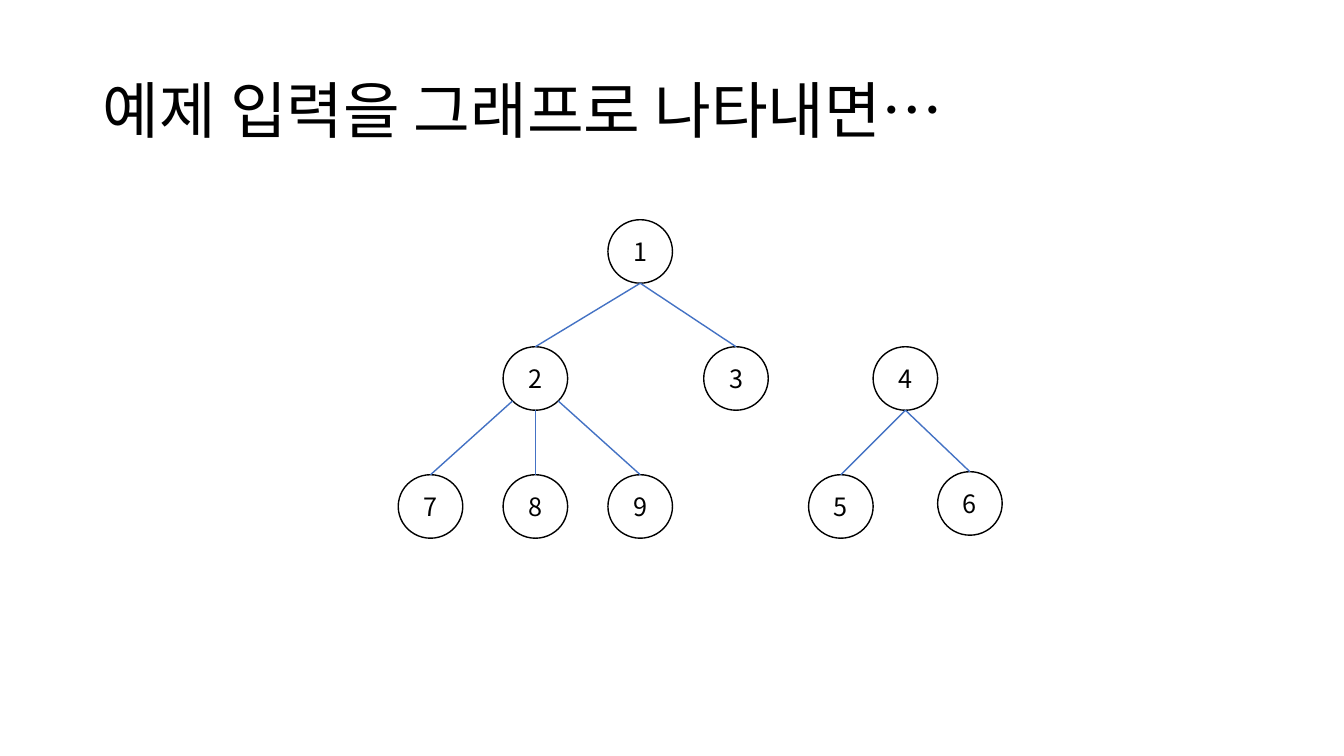
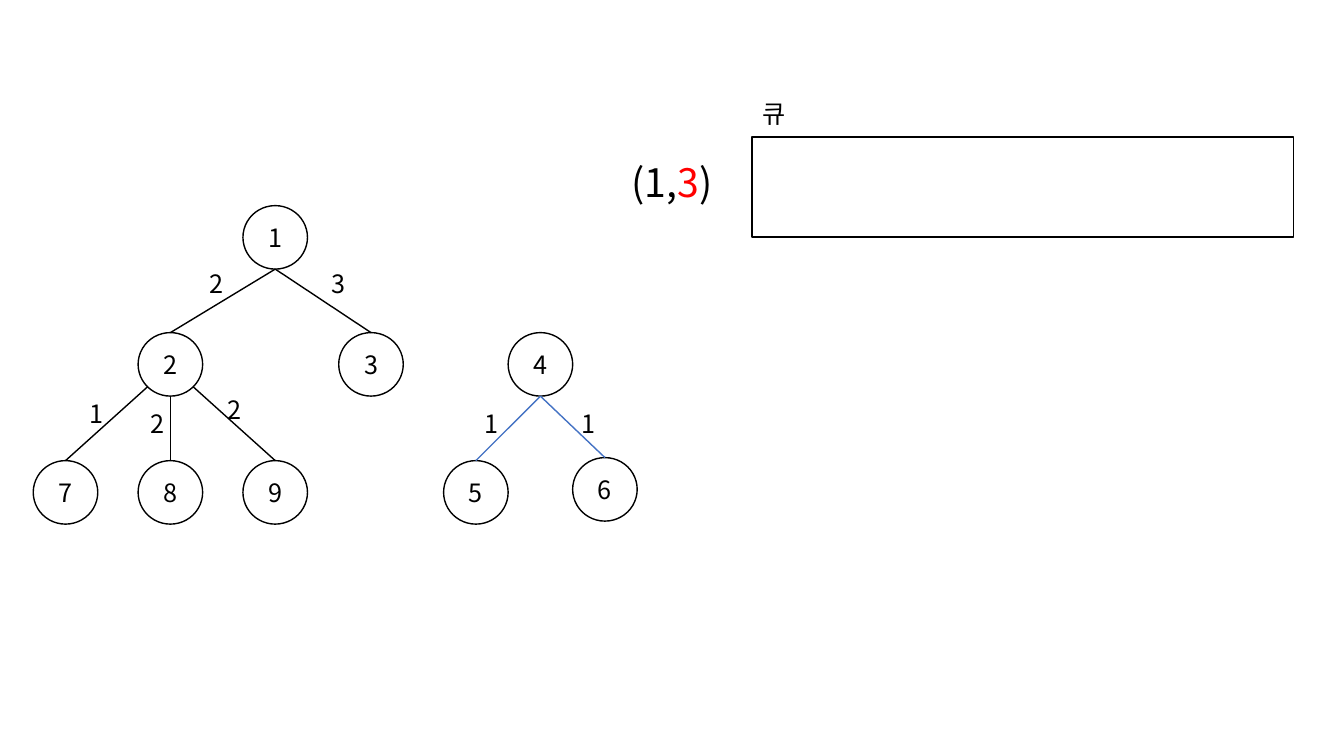
from dataclasses import dataclass
from math import cos, radians, sin

from lxml.etree import SubElement
from pptx import Presentation
from pptx.dml.color import RGBColor
from pptx.enum.shapes import MSO_CONNECTOR, MSO_SHAPE
from pptx.enum.text import MSO_ANCHOR, MSO_AUTO_SIZE, PP_ALIGN
from pptx.oxml.ns import qn
from pptx.shapes.autoshape import Shape
from pptx.slide import Slide
from pptx.text.text import TextFrame
from pptx.util import Inches, Pt

FONT = "Noto Sans CJK KR"
BLACK, WHITE, BLUE, RED = "000000", "FFFFFF", "4472C4", "FF0000"
NODE_WIDTH, NODE_HEIGHT = 0.64, 0.63
COLUMN, MIDDLE_ROW, BOTTOM_ROW = 1.04, 1.26, 2.53
BOTTOM, BOTTOM_LEFT, BOTTOM_RIGHT = 90, 135, 45


@dataclass(frozen=True)
class Node:
    name: str
    left: float
    top: float


@dataclass(frozen=True)
class Edge:
    parent: str
    child: str
    angle: int = BOTTOM


@dataclass(frozen=True)
class Label:
    text: str
    left: float
    top: float


NODES = [
    Node("1", 2 * COLUMN, 0),
    Node("2", COLUMN, MIDDLE_ROW),
    Node("3", 3.03, MIDDLE_ROW),
    Node("4", 4.71, MIDDLE_ROW),
    Node("5", 4.07, BOTTOM_ROW),
    Node("6", 5.35, 2.5),
    Node("7", 0, BOTTOM_ROW),
    Node("8", COLUMN, BOTTOM_ROW),
    Node("9", 2 * COLUMN, BOTTOM_ROW),
]
LARGE_TREE = [
    Edge("1", "2"),
    Edge("1", "3"),
    Edge("2", "7", BOTTOM_LEFT),
    Edge("2", "8"),
    Edge("2", "9", BOTTOM_RIGHT),
]
SMALL_TREE = [Edge("4", "5"), Edge("4", "6")]
WEIGHTS = [
    Label("2", 1.98, 2.61),
    Label("3", 3.19, 2.61),
    Label("1", 0.79, 3.9),
    Label("2", 1.39, 4),
    Label("2", 2.16, 3.86),
    Label("1", 4.71, 4),
    Label("1", 5.67, 4),
]


def color(value: str) -> RGBColor:
    return RGBColor.from_string(value)


def write(
    frame: TextFrame,
    *parts: tuple[str, str],
    size: float = 18,
    align: PP_ALIGN = PP_ALIGN.LEFT,
    anchor: MSO_ANCHOR = MSO_ANCHOR.TOP,
    line_spacing: float = 1.0,
) -> None:
    frame.word_wrap = True
    frame.auto_size = MSO_AUTO_SIZE.NONE
    frame.vertical_anchor = anchor
    paragraph = frame.paragraphs[0]
    paragraph.alignment = align
    paragraph.line_spacing = line_spacing
    for text, text_color in parts:
        run = paragraph.add_run()
        run.text = text
        run.font.name = FONT
        run.font.size = Pt(size)
        run.font.color.rgb = color(text_color)
        SubElement(run.font._element, qn("a:ea")).set("typeface", FONT)


def add_outlined(
    slide: Slide, kind: MSO_SHAPE, left: float, top: float, width: float, height: float
) -> Shape:
    shape = slide.shapes.add_shape(
        kind, Inches(left), Inches(top), Inches(width), Inches(height)
    )
    shape.shadow.inherit = False
    shape.fill.solid()
    shape.fill.fore_color.rgb = color(WHITE)
    shape.line.color.rgb = color(BLACK)
    shape.line.width = Pt(1)
    return shape


def add_text(
    slide: Slide, left: float, top: float, width: float, height: float
) -> TextFrame:
    return slide.shapes.add_textbox(
        Inches(left), Inches(top), Inches(width), Inches(height)
    ).text_frame


def add_nodes(slide: Slide, left: float, top: float) -> None:
    for node in NODES:
        circle = add_outlined(
            slide, MSO_SHAPE.OVAL, left + node.left, top + node.top,
            NODE_WIDTH, NODE_HEIGHT,
        )
        write(
            circle.text_frame, (node.name, BLACK),
            align=PP_ALIGN.CENTER, anchor=MSO_ANCHOR.MIDDLE,
        )


def add_edges(
    slide: Slide, edges: list[Edge], left: float, top: float, line_color: str
) -> None:
    nodes = {node.name: node for node in NODES}
    for edge in edges:
        parent, child = nodes[edge.parent], nodes[edge.child]
        angle = radians(edge.angle)
        connector = slide.shapes.add_connector(
            MSO_CONNECTOR.STRAIGHT,
            Inches(left + parent.left + NODE_WIDTH / 2 * (1 + cos(angle))),
            Inches(top + parent.top + NODE_HEIGHT / 2 * (1 + sin(angle))),
            Inches(left + child.left + NODE_WIDTH / 2),
            Inches(top + child.top),
        )
        connector.line.color.rgb = color(line_color)
        connector.line.width = Pt(1)
        SubElement(connector._element.spPr, qn("a:effectLst"))


def add_graph(slide: Slide, left: float, top: float, large_tree_color: str) -> None:
    add_nodes(slide, left, top)
    add_edges(slide, LARGE_TREE, left, top, large_tree_color)
    add_edges(slide, SMALL_TREE, left, top, BLUE)


def add_title(slide: Slide, text: str) -> None:
    title = slide.shapes.title
    title.left, title.top = Inches(0.92), Inches(0.4)
    title.width, title.height = Inches(11.5), Inches(1.45)
    write(
        title.text_frame, (text, BLACK),
        size=44, anchor=MSO_ANCHOR.MIDDLE, line_spacing=0.9,
    )


def build_example_slide(presentation: Presentation) -> None:
    slide = presentation.slides.add_slide(
        presentation.slide_layouts.get_by_name("Title Only")
    )
    add_title(slide, "예제 입력을 그래프로 나타내면…")
    add_graph(slide, 3.95, 2.18, BLUE)


def build_queue_slide(presentation: Presentation) -> None:
    slide = presentation.slides.add_slide(
        presentation.slide_layouts.get_by_name("Blank")
    )
    add_graph(slide, 0.33, 2.04, BLACK)
    add_outlined(slide, MSO_SHAPE.RECTANGLE, 7.46, 1.36, 5.37, 0.99)
    write(add_text(slide, 7.46, 0.93, 1.29, 0.4), ("큐", BLACK))
    write(
        add_text(slide, 5.9, 1.52, 1.53, 1.04),
        ("(1,", BLACK), ("3", RED), (")", BLACK),
        size=28, align=PP_ALIGN.CENTER,
    )
    for weight in WEIGHTS:
        frame = add_text(slide, weight.left, weight.top, 0.34, 0.4)
        write(frame, (weight.text, BLACK))


presentation = Presentation()
presentation.slide_width = Inches(13.33)
presentation.slide_height = Inches(7.5)
build_example_slide(presentation)
build_queue_slide(presentation)
presentation.save("out.pptx")
